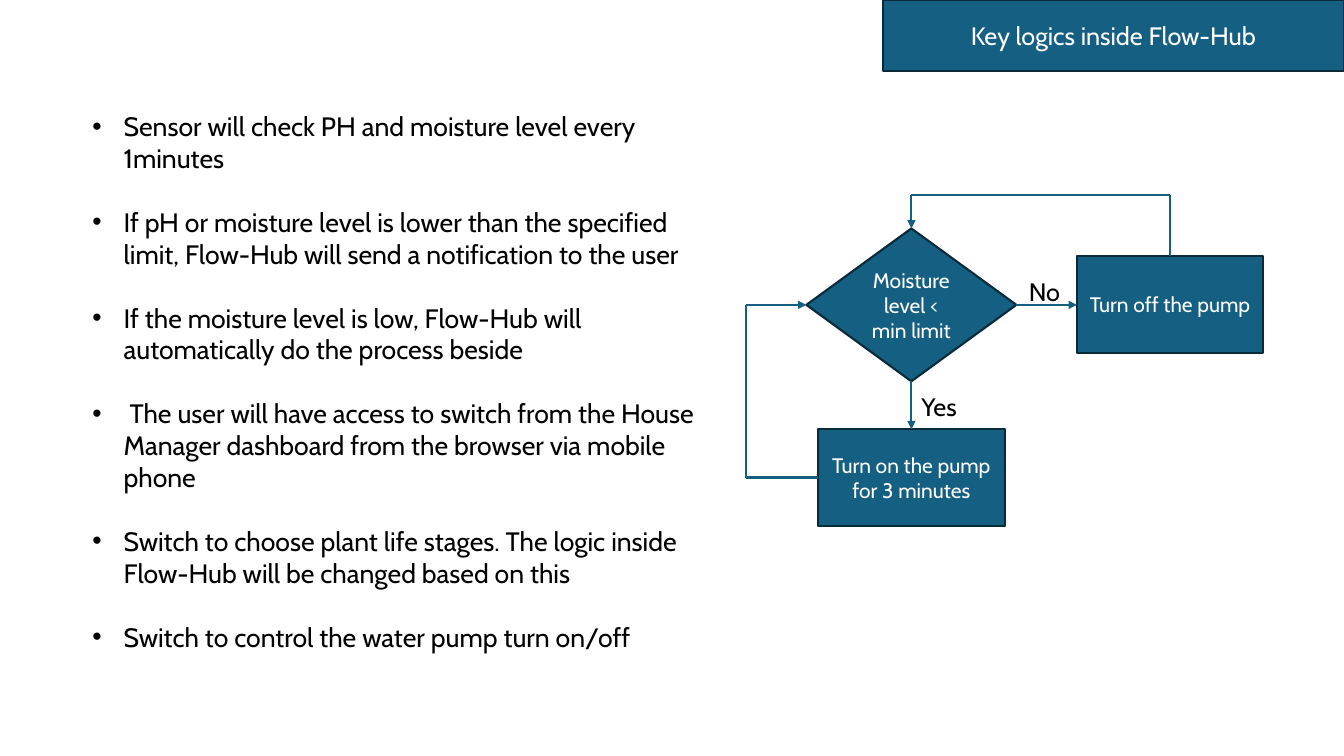
import dataclasses
import itertools
import typing

import lxml.etree
import pptx
import pptx.dml.color
import pptx.enum.shapes
import pptx.enum.text
import pptx.oxml.ns
import pptx.util

COLUMNS, ROWS = 160, 90
FONT = "Cabin"
COLOURS = {"fill": "156082", "border": "092A39", "light": "FFFFFF", "dark": "000000"}
CENTER = pptx.enum.text.PP_ALIGN.CENTER
LEFT = pptx.enum.text.PP_ALIGN.LEFT
MIDDLE = pptx.enum.text.MSO_ANCHOR.MIDDLE
TOP = pptx.enum.text.MSO_ANCHOR.TOP
RECTANGLE = pptx.enum.shapes.MSO_SHAPE.RECTANGLE
DIAMOND = pptx.enum.shapes.MSO_SHAPE.DIAMOND

presentation = pptx.Presentation()
presentation.slide_width = pptx.util.Inches(13.33)
presentation.slide_height = pptx.util.Inches(7.5)


@dataclasses.dataclass(frozen=True)
class Area:
    column: float
    row: float
    columns: float
    rows: float

    @property
    def center(self) -> float:
        return self.column + self.columns / 2

    @property
    def middle(self) -> float:
        return self.row + self.rows / 2

    @property
    def right(self) -> float:
        return self.column + self.columns

    @property
    def bottom(self) -> float:
        return self.row + self.rows


@dataclasses.dataclass(frozen=True)
class Step:
    wording: str
    area: Area
    outline: pptx.enum.shapes.MSO_SHAPE


@dataclasses.dataclass(frozen=True)
class Answer:
    wording: str
    area: Area


Point = tuple[float, float]

HEADING = Area(105.1, 0, 54.9, 8.5)
NOTES = Area(9.8, 12.5, 76.4, 66.5)
CHECK = Area(96, 27.2, 25, 18.2)
PUMP_ON = Area(97.4, 51.1, 22.2, 11.5)
PUMP_OFF = Area(128.2, 30.5, 22.2, 11.5)
LOOP_COLUMN, LOOP_ROW = 88.8, 23.2

STEPS = [
    Step("Moisture level < min limit", CHECK, DIAMOND),
    Step("Turn on the pump for 3 minutes", PUMP_ON, RECTANGLE),
    Step("Turn off the pump", PUMP_OFF, RECTANGLE),
]
ANSWERS = [
    Answer("Yes", Area(CHECK.center, 46, 13.8, 4.1)),
    Answer("No", Area(121.3, 32.3, 13.8, 4.1)),
]
ROUTES: list[list[Point]] = [
    [(CHECK.center, CHECK.bottom), (CHECK.center, PUMP_ON.row)],
    [(CHECK.right, CHECK.middle), (PUMP_OFF.column, CHECK.middle)],
    [
        (PUMP_ON.column, PUMP_ON.middle),
        (LOOP_COLUMN, PUMP_ON.middle),
        (LOOP_COLUMN, CHECK.middle),
        (CHECK.column, CHECK.middle),
    ],
    [
        (PUMP_OFF.center, PUMP_OFF.row),
        (PUMP_OFF.center, LOOP_ROW),
        (CHECK.center, LOOP_ROW),
        (CHECK.center, CHECK.row),
    ],
]
REMARKS = [
    "Sensor will check PH and moisture level every 1minutes",
    "If pH or moisture level is lower than the specified limit, Flow-Hub will send a notification to the user",
    "If the moisture level is low, Flow-Hub will automatically do the process beside",
    " The user will have access to switch from the House Manager dashboard from the browser via mobile phone",
    "Switch to choose plant life stages. The logic inside Flow-Hub will be changed based on this",
    "Switch to control the water pump turn on/off",
]


def across(column: float) -> int:
    return round(presentation.slide_width * column / COLUMNS)


def down(row: float) -> int:
    return round(presentation.slide_height * row / ROWS)


def bounds(area: Area) -> tuple[int, int, int, int]:
    return across(area.column), down(area.row), across(area.columns), down(area.rows)


def colour(name: str) -> pptx.dml.color.RGBColor:
    return pptx.dml.color.RGBColor.from_string(COLOURS[name])


def place(part: typing.Any, area: Area) -> None:
    part.left, part.top, part.width, part.height = bounds(area)


def paint(part: typing.Any) -> None:
    part.fill.solid()
    part.fill.fore_color.rgb = colour("fill")
    part.line.color.rgb = colour("border")
    part.line.width = pptx.util.Pt(1.5)


def write(part: typing.Any, wordings: list[str], size: float, ink: str,
          alignment: typing.Any, anchor: typing.Any) -> None:
    frame = part.text_frame
    frame.word_wrap = True
    frame.auto_size = pptx.enum.text.MSO_AUTO_SIZE.NONE
    frame.vertical_anchor = anchor
    for index, wording in enumerate(wordings):
        paragraph = frame.add_paragraph() if index else frame.paragraphs[0]
        paragraph.alignment = alignment
        paragraph.space_before = pptx.util.Pt(0)
        run = paragraph.add_run()
        run.text = wording
        run.font.name = FONT
        run.font.size = pptx.util.Pt(size)
        run.font.color.rgb = colour(ink)


def draw_step(slide: typing.Any, step: Step) -> None:
    box = slide.shapes.add_shape(step.outline, *bounds(step.area))
    box.shadow.inherit = False
    paint(box)
    write(box, [step.wording], 15, "light", CENTER, MIDDLE)


def draw_answer(slide: typing.Any, answer: Answer) -> None:
    label = slide.shapes.add_textbox(*bounds(answer.area))
    write(label, [answer.wording], 18, "dark", LEFT, TOP)


def draw_route(slide: typing.Any, route: list[Point]) -> None:
    for start, end in itertools.pairwise(route):
        segment = slide.shapes.add_connector(
            pptx.enum.shapes.MSO_CONNECTOR.STRAIGHT,
            across(start[0]), down(start[1]), across(end[0]), down(end[1]),
        )
        segment.line.color.rgb = colour("fill")
        segment.line.width = pptx.util.Pt(1.5)
        properties = segment.element.spPr
        lxml.etree.SubElement(properties, pptx.oxml.ns.qn("a:effectLst"))
        if end == route[-1]:
            stroke = properties.find(pptx.oxml.ns.qn("a:ln"))
            lxml.etree.SubElement(stroke, pptx.oxml.ns.qn("a:tailEnd"), type="triangle")


def draw_heading(slide: typing.Any) -> None:
    heading = slide.shapes.title
    place(heading, HEADING)
    paint(heading)
    write(heading, ["Key logics inside Flow-Hub"], 18, "light", CENTER, MIDDLE)


def draw_remarks(slide: typing.Any) -> None:
    notes = slide.placeholders[1]
    place(notes, NOTES)
    write(notes, REMARKS, 19, "dark", LEFT, TOP)
    indent = pptx.util.Inches(0.31)
    for remark in notes.text_frame.paragraphs:
        remark.space_after = pptx.util.Pt(22.8)
        properties = remark._p.get_or_add_pPr()
        properties.set("marL", str(indent))
        properties.set("indent", str(-indent))
        lxml.etree.SubElement(properties, pptx.oxml.ns.qn("a:buChar"), char="•")


def main() -> None:
    slide = presentation.slides.add_slide(presentation.slide_layouts[1])
    draw_heading(slide)
    draw_remarks(slide)
    for step in STEPS:
        draw_step(slide, step)
    for route in ROUTES:
        draw_route(slide, route)
    for answer in ANSWERS:
        draw_answer(slide, answer)
    presentation.save("out.pptx")


if __name__ == "__main__":
    main()
